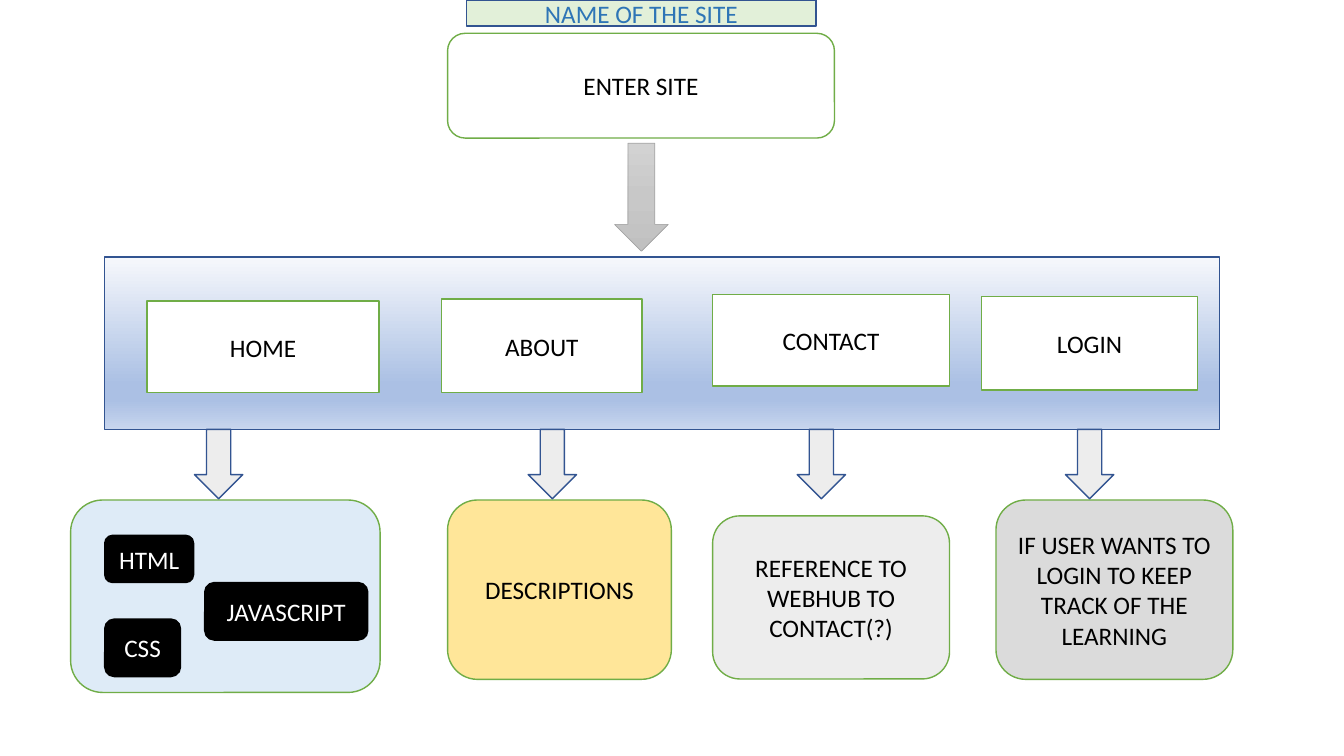
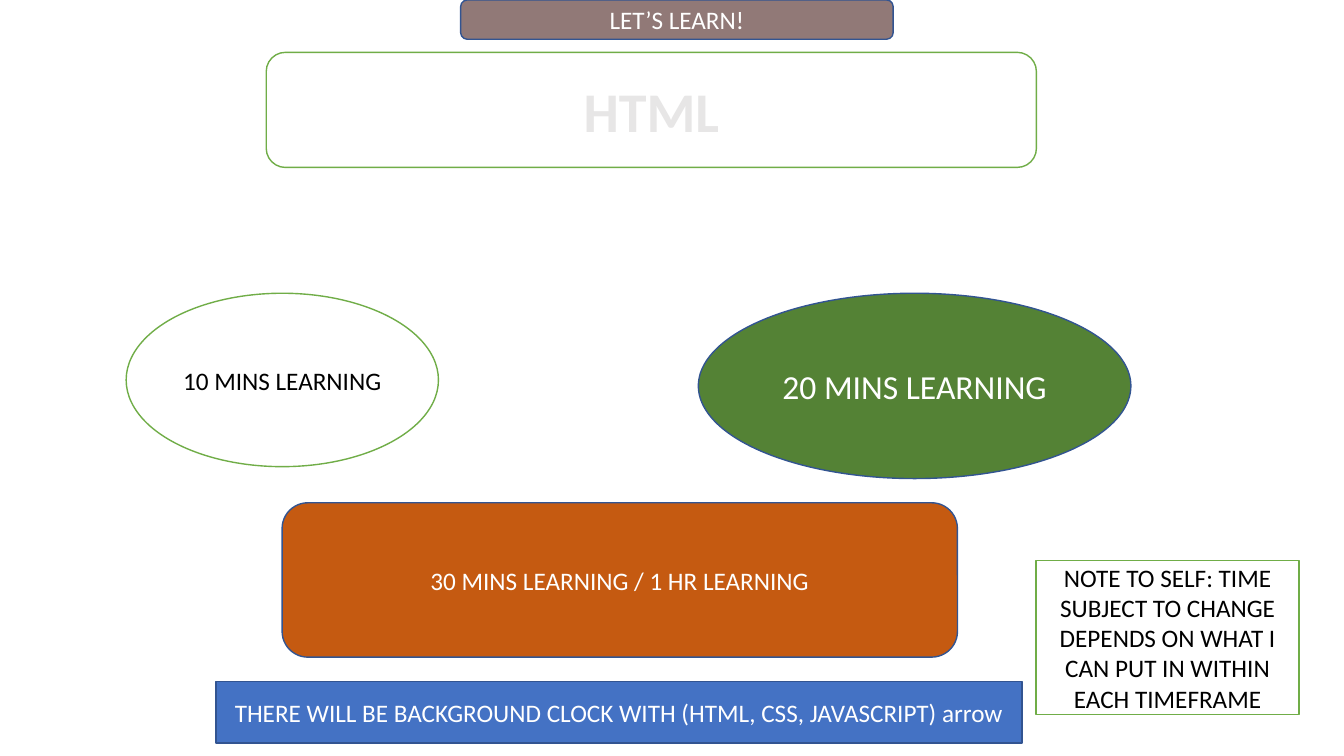
from copy import deepcopy
from pptx import Presentation
from pptx.dml.color import RGBColor
from pptx.enum.shapes import MSO_SHAPE
from pptx.enum.text import MSO_ANCHOR, PP_ALIGN
from pptx.oxml.ns import qn
from pptx.util import Cm, Pt

# Shared colours
WHITE = RGBColor(0xFF, 0xFF, 0xFF)
BLACK = RGBColor(0x00, 0x00, 0x00)
GREEN = RGBColor(0x70, 0xAD, 0x47)
DARK_GREEN = RGBColor(0x54, 0x82, 0x35)
PALE_GREEN = RGBColor(0xE2, 0xF0, 0xD9)
NAVY = RGBColor(0x32, 0x54, 0x91)
BLUE = RGBColor(0x44, 0x72, 0xC4)
TITLE_BLUE = RGBColor(0x2E, 0x75, 0xB6)
PALE_BLUE = RGBColor(0xDE, 0xEB, 0xF7)
YELLOW = RGBColor(0xFF, 0xE6, 0x99)
ORANGE = RGBColor(0xC5, 0x5A, 0x11)
MAUVE = RGBColor(0x91, 0x79, 0x77)
PALE_GREY = RGBColor(0xED, 0xED, 0xED)
LIGHT_GREY = RGBColor(0xDB, 0xDB, 0xDB)
MID_GREY = RGBColor(0xA5, 0xA5, 0xA5)
HEADING_GREY = RGBColor(0xE7, 0xE6, 0xE6)
GREY_FADE = [(0, RGBColor(0xD2, 0xD2, 0xD2)), (0.5, RGBColor(0xC8, 0xC8, 0xC8)),
             (1, RGBColor(0xC0, 0xC0, 0xC0))]
BLUE_FADE = [(0, RGBColor(0xF6, 0xF8, 0xFC)), (0.74, RGBColor(0xAB, 0xC0, 0xE4)),
             (0.83, RGBColor(0xAB, 0xC0, 0xE4)), (1, RGBColor(0xC7, 0xD5, 0xED))]

RECT, ROUND = MSO_SHAPE.RECTANGLE, MSO_SHAPE.ROUNDED_RECTANGLE
OVAL, ARROW = MSO_SHAPE.OVAL, MSO_SHAPE.DOWN_ARROW


def add_block(slide, kind, box, text="", fill=WHITE, line=GREEN, ink=BLACK, **font):
    block = slide.shapes.add_shape(kind, *[Cm(length) for length in box])
    block.shadow.inherit = False
    block.fill.solid()
    block.fill.fore_color.rgb = fill
    block.line.color.rgb = line
    block.line.width = Pt(1)
    if text:
        block.text_frame.word_wrap = True
        block.text_frame.vertical_anchor = MSO_ANCHOR.MIDDLE
        paragraph = block.text_frame.paragraphs[0]
        paragraph.alignment = PP_ALIGN.CENTER
        run = paragraph.add_run()
        run.text = text
        run.font.color.rgb = ink
        for name, value in {"name": "Calibri", "size": Pt(18), **font}.items():
            setattr(run.font, name, value)
    return block


def fade_down(block, stops):
    block.fill.gradient()
    block.fill.gradient_angle = 270
    stop_list = block._element.spPr.find(qn("a:gradFill")).find(qn("a:gsLst"))
    while len(stop_list) < len(stops):
        stop_list.append(deepcopy(stop_list[0]))
    for stop, (position, color) in zip(block.fill.gradient_stops, stops):
        stop.position = position
        stop.color.rgb = color


deck = Presentation()
deck.slide_width, deck.slide_height = Cm(33.87), Cm(19.05)
blank = deck.slide_layouts[6]

# Slide 1: site map, entrance
site_map = deck.slides.add_slide(blank)
add_block(site_map, ROUND, (11.28, 0.84, 9.75, 2.64), "ENTER SITE")
entry_arrow = add_block(site_map, ARROW, (15.49, 3.61, 1.35, 2.72), line=MID_GREY)
entry_arrow.line.width = Pt(0.5)
fade_down(entry_arrow, GREY_FADE)

# Navigation bar and its buttons
nav_bar = add_block(site_map, RECT, (2.64, 6.48, 28.09, 4.34), line=NAVY)
fade_down(nav_bar, BLUE_FADE)
for label, box in [
    ("HOME", (3.71, 7.59, 5.84, 2.31)),
    ("ABOUT", (11.13, 7.54, 5.05, 2.36)),
    ("CONTACT", (17.96, 7.42, 5.97, 2.31)),
    ("LOGIN", (24.74, 7.47, 5.44, 2.36)),
]:
    add_block(site_map, RECT, box, label)

# Page contents, each below its arrow
for arrow_left, box, content, fill in [
    (4.9, (1.78, 12.6, 7.8, 4.85), "", PALE_BLUE),
    (13.31, (11.28, 12.6, 5.64, 4.52), "DESCRIPTIONS", YELLOW),
    (20.09, (17.96, 13, 5.97, 4.11), "REFERENCE TO WEBHUB TO CONTACT(?)", PALE_GREY),
    (26.85, (25.1, 12.6, 5.97, 4.52),
     "IF USER WANTS TO LOGIN TO KEEP TRACK OF THE LEARNING", LIGHT_GREY),
]:
    add_block(site_map, ROUND, box, content, fill)
    add_block(site_map, ARROW, (arrow_left, 10.82, 1.22, 1.75), fill=PALE_GREY, line=NAVY)

# Languages on the home page
for language, box in [
    ("HTML", (2.64, 13.49, 2.24, 1.19)),
    ("CSS", (2.64, 15.6, 1.91, 1.45)),
    ("JAVASCRIPT", (5.16, 14.68, 4.11, 1.45)),
]:
    add_block(site_map, ROUND, box, language, BLACK, BLACK, WHITE)

# Site name
add_block(site_map, RECT, (11.76, 0, 8.81, 0.66), "NAME OF THE SITE",
          PALE_GREEN, NAVY, TITLE_BLUE)

# Slide 2: lesson page, headings
lesson = deck.slides.add_slide(blank)
add_block(lesson, ROUND, (6.71, 1.32, 19.41, 2.9), "HTML",
          ink=HEADING_GREY, size=Pt(40), bold=True)
add_block(lesson, ROUND, (11.61, 0, 10.9, 0.99), "LET’S LEARN!", MAUVE, NAVY, WHITE)

# Lesson lengths
add_block(lesson, OVAL, (3.18, 7.39, 7.87, 4.37), "10 MINS LEARNING")
add_block(lesson, OVAL, (17.6, 7.39, 10.9, 4.67), "20 MINS LEARNING",
          DARK_GREEN, NAVY, WHITE, size=Pt(24))
add_block(lesson, ROUND, (7.11, 12.67, 17.02, 3.89), "30 MINS LEARNING / 1 HR LEARNING",
          ORANGE, NAVY, WHITE)

# Planning notes
add_block(lesson, RECT, (26.11, 14.12, 6.63, 3.89),
          "NOTE TO SELF: TIME SUBJECT TO CHANGE DEPENDS ON WHAT I CAN PUT IN "
          "WITHIN EACH TIMEFRAME")
add_block(lesson, RECT, (5.44, 17.17, 20.32, 1.55),
          "THERE WILL BE BACKGROUND CLOCK WITH (HTML, CSS, JAVASCRIPT) arrow",
          BLUE, NAVY, WHITE)

deck.save("out.pptx")
